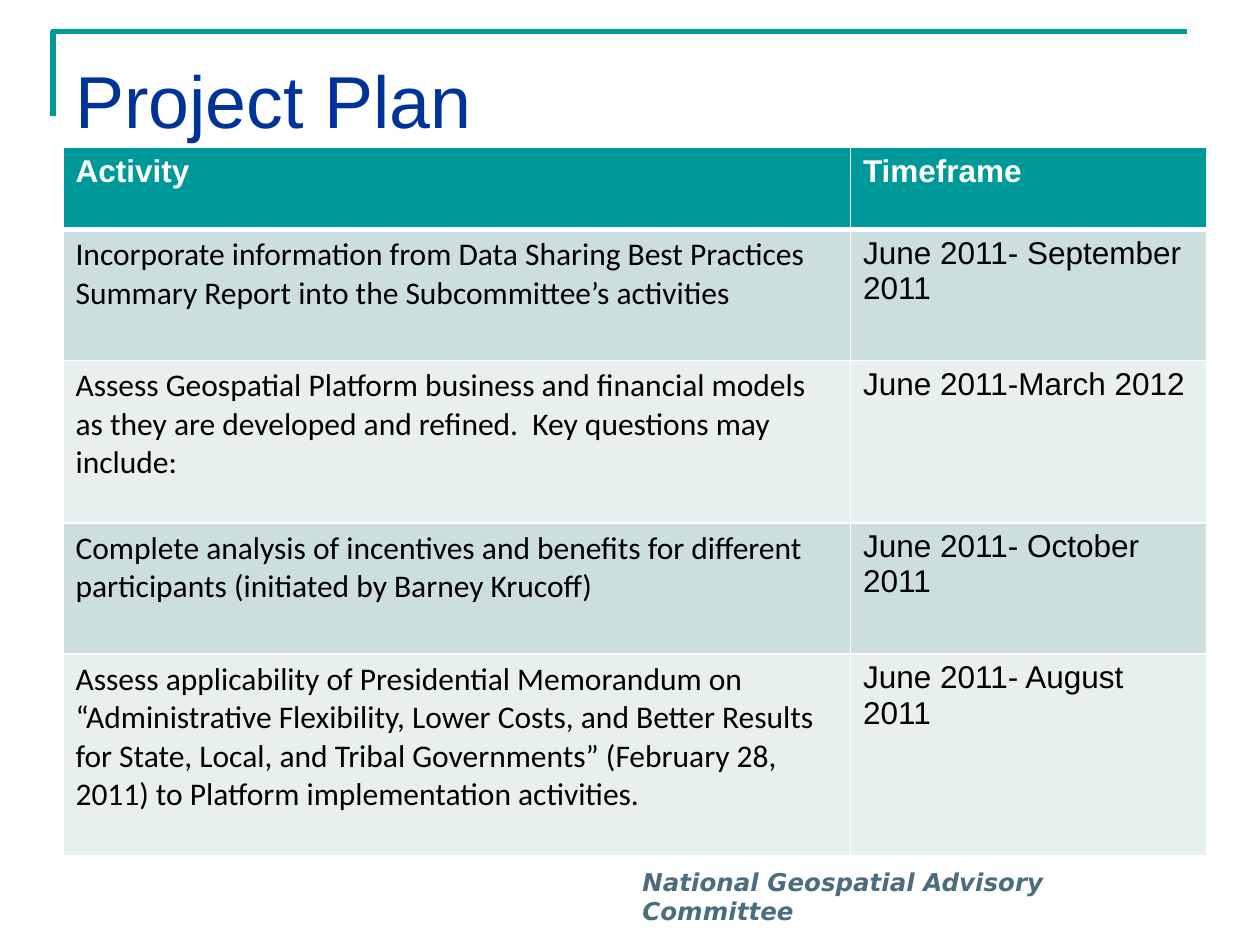
import pptx
import pptx.util
import pptx.dml.color
import pptx.oxml
import pptx.oxml.ns
from pptx.util import Inches

COLORS = {
    "teal": "009999",
    "navy": "003399",
    "slate": "4C6D80",
    "white": "FFFFFF",
    "black": "000000",
    "band_dark": "CCDEDE",
    "band_light": "E7EFEF",
}

TITLE = "Project Plan"
FOOTER = "National Geospatial Advisory Committee"
HEADER = ("Activity", "Timeframe")
PLAN = [
    ("Incorporate information from Data Sharing Best Practices Summary Report "
     "into the Subcommittee’s activities", "June 2011- September 2011"),
    ("Assess Geospatial Platform business and financial models as they are "
     "developed and refined.  Key questions may include:", "June 2011-March 2012"),
    ("Complete analysis of incentives and benefits for different participants "
     "(initiated by Barney Krucoff)", "June 2011- October 2011"),
    ("Assess applicability of Presidential Memorandum on “Administrative "
     "Flexibility, Lower Costs, and Better Results for State, Local, and Tribal "
     "Governments” (February 28, 2011) to Platform implementation activities.",
     "June 2011- August 2011"),
]
COLUMN_WIDTHS = (6.25, 2.83)
ROW_HEIGHTS = (0.65, 1.04, 1.29, 1.04, 1.6)
COLUMN_FONTS = ("Calibri", "Arial")


def color(name):
    return pptx.dml.color.RGBColor.from_string(COLORS[name])


def write(frame, text, font_name, size, color_name, bold=False, italic=False):
    frame.word_wrap = True
    frame.text = text
    font = frame.paragraphs[0].runs[0].font
    font.name = font_name
    font.size = pptx.util.Pt(size)
    font.bold = bold
    font.italic = italic
    font.color.rgb = color(color_name)


def set_borders(cell, bottom_width):
    properties = cell._tc.get_or_add_tcPr()
    for side, points in (("L", 1), ("R", 1), ("T", 1), ("B", bottom_width)):
        properties.append(pptx.oxml.parse_xml(
            f'<a:ln{side} {pptx.oxml.ns.nsdecls("a")} w="{pptx.util.Pt(points)}">'
            f'<a:solidFill><a:srgbClr val="{COLORS["white"]}"/></a:solidFill>'
            f'</a:ln{side}>'))


prs = pptx.Presentation()
prs.slide_width, prs.slide_height = Inches(10), Inches(7.5)
slide = prs.slides.add_slide(prs.slide_layouts[6])

# Corner rule around the title
builder = slide.shapes.build_freeform(Inches(0.42), Inches(0.92))
builder.add_line_segments(
    [(Inches(0.42), Inches(0.25)), (Inches(9.42), Inches(0.25))], close=False)
corner = builder.convert_to_shape()
corner.shadow.inherit = False
corner.fill.background()
corner.line.color.rgb = color("teal")
corner.line.width = pptx.util.Pt(3)

# Footer and title
footer = slide.shapes.add_textbox(Inches(5), Inches(6.83), Inches(4.61), Inches(0.33))
write(footer.text_frame, FOOTER, "DejaVu Sans", 14, "slate", bold=True, italic=True)

title = slide.shapes.add_textbox(Inches(0.5), Inches(0.33), Inches(9), Inches(1.25))
title.text_frame.margin_top = Inches(0.11)
write(title.text_frame, TITLE, "Arial", 42, "navy")

# Plan table
rows = [HEADER] + PLAN
plan = slide.shapes.add_table(
    len(rows), len(HEADER), Inches(0.5), Inches(1.17),
    Inches(sum(COLUMN_WIDTHS)), Inches(sum(ROW_HEIGHTS))).table
for column, width in zip(plan.columns, COLUMN_WIDTHS):
    column.width = Inches(width)
for row, height in zip(plan.rows, ROW_HEIGHTS):
    row.height = Inches(height)

for r, texts in enumerate(rows):
    is_header = r == 0
    band = "teal" if is_header else ("band_light", "band_dark")[r % 2]
    for c, text in enumerate(texts):
        cell = plan.cell(r, c)
        set_borders(cell, 3 if is_header else 1)
        cell.fill.solid()
        cell.fill.fore_color.rgb = color(band)
        write(cell.text_frame, text, "Arial" if is_header else COLUMN_FONTS[c], 18,
              "white" if is_header else "black", bold=is_header)

prs.save("out.pptx")
